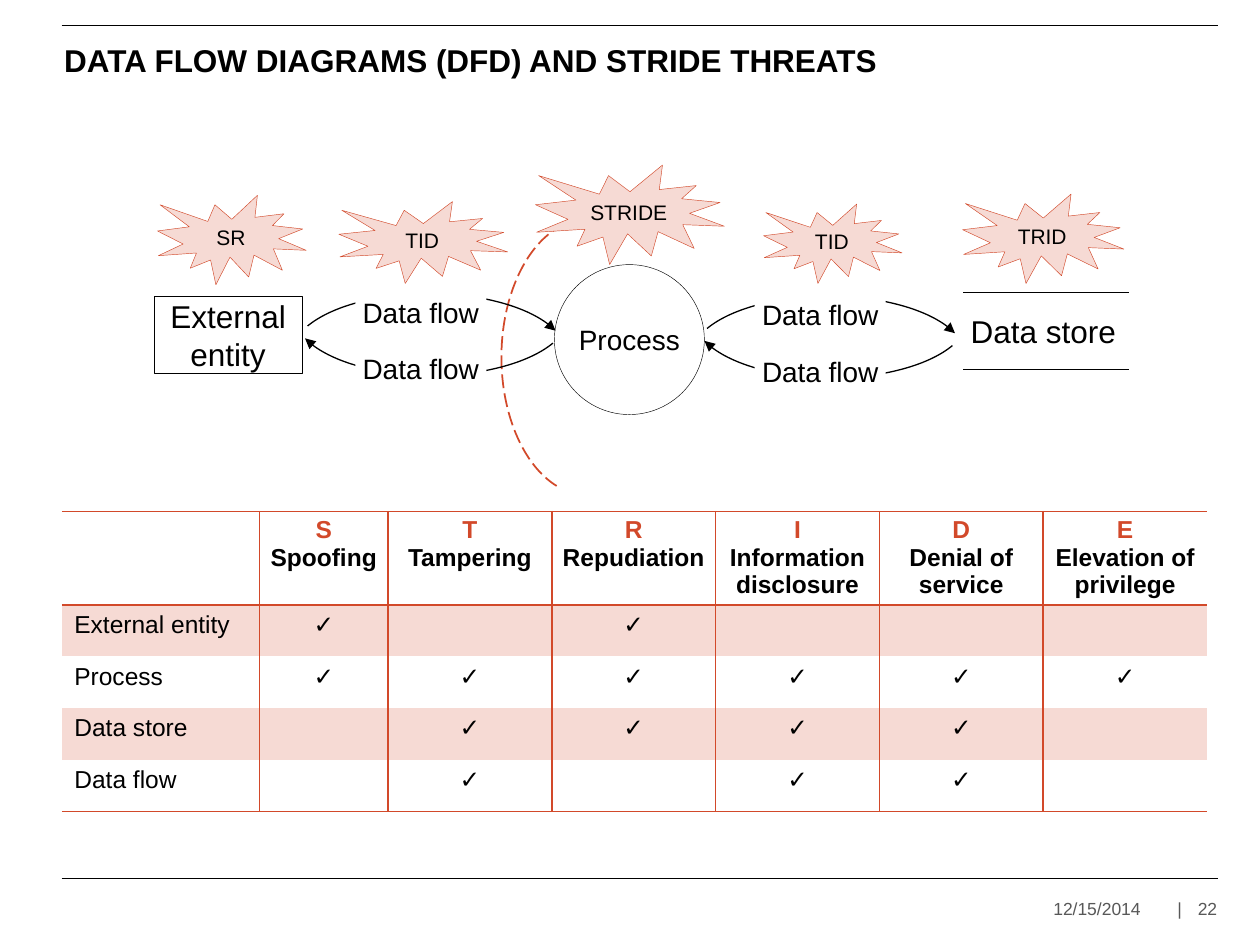
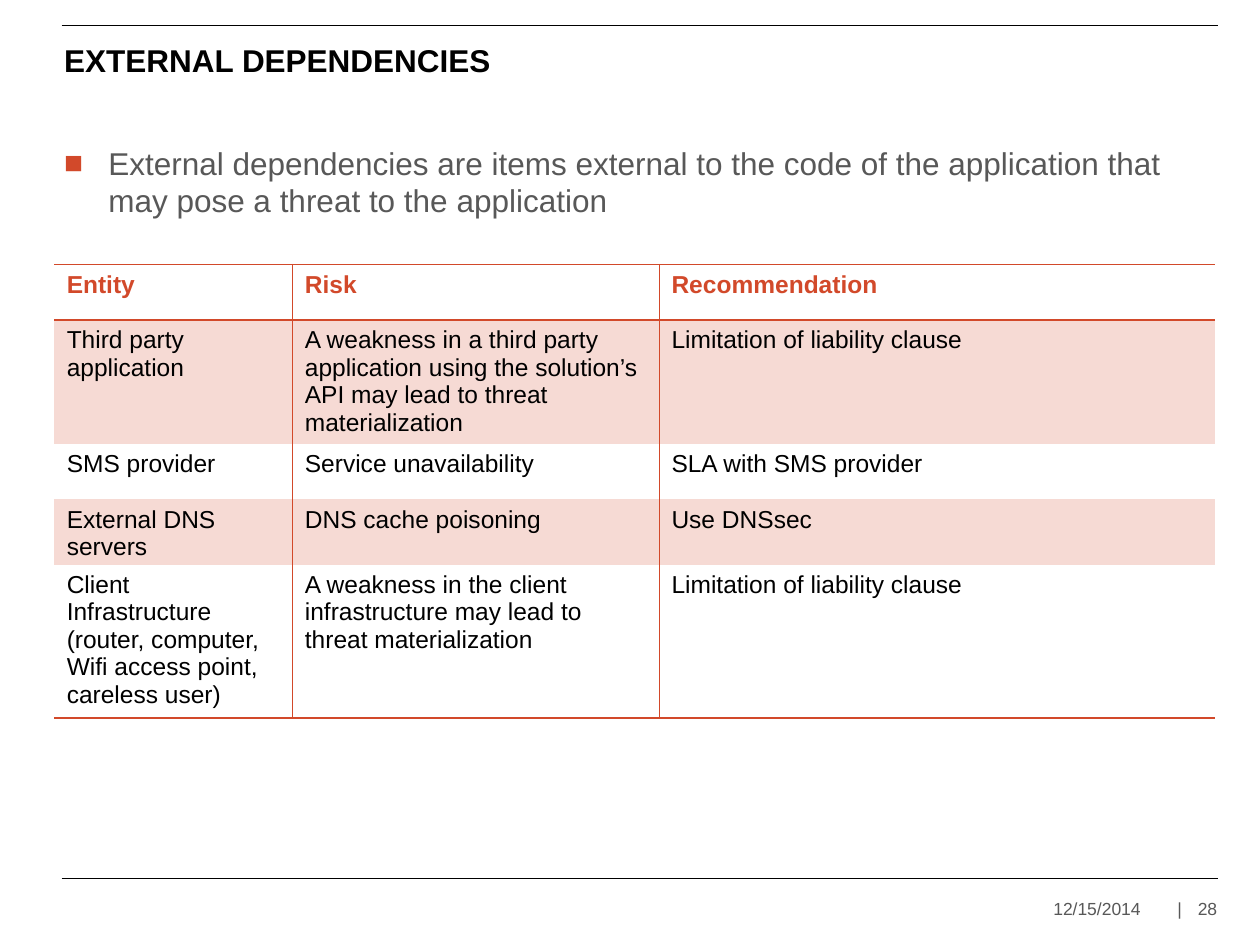
from dataclasses import dataclass
from typing import Optional

from lxml import etree
from pptx import Presentation
from pptx.dml.color import RGBColor
from pptx.enum.dml import MSO_LINE
from pptx.enum.shapes import MSO_CONNECTOR, MSO_SHAPE
from pptx.enum.text import MSO_ANCHOR, PP_ALIGN
from pptx.oxml.ns import qn
from pptx.util import Emu, Pt

PX = 9144  # EMU per px: 100 px to the inch
FONT = "Arial"
COLORS = {
    "black": "000000",
    "white": "FFFFFF",
    "accent": "D2492A",
    "tint": "F6DAD4",
    "gray": "585858",
}
LEFT, CENTER, RIGHT = PP_ALIGN.LEFT, PP_ALIGN.CENTER, PP_ALIGN.RIGHT
TOP, MIDDLE = MSO_ANCHOR.TOP, MSO_ANCHOR.MIDDLE
RECTANGLE, OVAL = MSO_SHAPE.RECTANGLE, MSO_SHAPE.OVAL
BURST, ARC = MSO_SHAPE.EXPLOSION1, MSO_SHAPE.ARC
STRAIGHT = MSO_CONNECTOR.STRAIGHT
LONG_DASH = MSO_LINE.LONG_DASH

ARC_ADJUSTMENTS = (116.15, 209.39)  # about 194 to 349 degrees, over the top
SHAPE_MARGINS = (10, 5, 10, 5)
LABEL_MARGINS = (0, 5, 0, 5)
BODY_MARGINS = (4, 4, 4, 4)
CELL_MARGINS = (10, 5, 10, 0)
TIGHT_CELL_MARGINS = (4, 4, 4, 0)
CHECK = "✓"


@dataclass(frozen=True)
class Box:
    left: int
    top: int
    width: int
    height: int

    def emu(self) -> tuple:
        return tuple(px(v) for v in (self.left, self.top, self.width, self.height))

    def moved(self, right: int, down: int) -> "Box":
        return Box(self.left + right, self.top + down, self.width, self.height)


@dataclass(frozen=True)
class Node:
    """A filled or outlined shape with centred text."""
    kind: int
    box: Box
    text: str
    size: int
    fill: Optional[str] = None
    line: Optional[str] = "black"
    margins: tuple = SHAPE_MARGINS


@dataclass(frozen=True)
class TableStyle:
    divider: float
    header_margins: tuple
    header_align: int
    body_align: int


STRIDE_STYLE = TableStyle(1, TIGHT_CELL_MARGINS, CENTER, CENTER)
ENTITY_STYLE = TableStyle(0.25, CELL_MARGINS, LEFT, LEFT)


def burst(box: Box, text: str) -> Node:
    return Node(BURST, box, text, 12, "tint", "accent")


BURSTS = [
    burst(Box(125, 155, 118, 71), "SR"),
    burst(Box(269, 160, 134, 65), "TID"),
    burst(Box(425, 131, 150, 79), "STRIDE"),
    burst(Box(606, 162, 110, 63), "TID"),
    burst(Box(764, 154, 128, 71), "TRID"),
]
ELEMENTS = [
    Node(RECTANGLE, Box(122, 235, 118, 61), "External\nentity", 18),
    Node(RECTANGLE, Box(759, 232, 138, 61), "Data store", 18),
    Node(OVAL, Box(440, 210, 119, 119), "Process", 16, margins=(0, 4, 0, 4)),
]
FLOW_OFFSETS = [(0, 0), (317, 2)]
FLOW_ARCS = [(Box(231, 233, 219, 98), 0), (Box(233, 200, 219, 98), 180)]
FLOW_LABELS = [Box(282, 272, 104, 41), Box(282, 227, 104, 41)]

THREATS = ["S\nSpoofing", "T\nTampering", "R\nRepudiation", "I\nInformation\ndisclosure",
           "D\nDenial of\nservice", "E\nElevation of\nprivilege"]
APPLICABLE_THREATS = {
    "External entity": "SR",
    "Process": "STRIDE",
    "Data store": "TRID",
    "Data flow": "TID",
}
DEPENDENCIES = [
    ["Entity", "Risk", "Recommendation"],
    ["Third party application",
     "A weakness in a third party application using the solution’s API may lead to "
     "threat materialization", "Limitation of liability clause"],
    ["SMS provider", "Service unavailability", "SLA with SMS provider"],
    ["External DNS servers", "DNS cache poisoning", "Use DNSsec"],
    ["Client Infrastructure (router, computer, Wifi access point, careless user)",
     "A weakness in the client infrastructure may lead to threat materialization",
     "Limitation of liability clause"],
]


def px(value: int) -> Emu:
    return Emu(value * PX)


def rgb(name: str) -> RGBColor:
    return RGBColor.from_string(COLORS[name])


def write_text(frame, text: str, *, size: float, color: str = "black",
               first_color: Optional[str] = None, bold: bool = False, align: int = LEFT,
               anchor: int = TOP, margins: tuple = SHAPE_MARGINS, wrap: bool = True) -> None:
    """Write one paragraph per line; first_color applies to the first line only."""
    frame.word_wrap = wrap
    frame.vertical_anchor = anchor
    (frame.margin_left, frame.margin_top,
     frame.margin_right, frame.margin_bottom) = map(px, margins)
    for index, line in enumerate(text.split("\n")):
        paragraph = frame.add_paragraph() if index else frame.paragraphs[0]
        paragraph.alignment = align
        run = paragraph.add_run()
        run.text = line
        run.font.name = FONT
        run.font.size = Pt(size)
        run.font.bold = bold
        run.font.color.rgb = rgb(first_color if first_color and not index else color)


def add_text(slide, box: Box, text: str, **text_format):
    frame = slide.shapes.add_textbox(*box.emu()).text_frame
    write_text(frame, text, **text_format)
    return frame.paragraphs[0]


def set_fill(fill, color: Optional[str]) -> None:
    if color:
        fill.solid()
        fill.fore_color.rgb = rgb(color)
    else:
        fill.background()


def add_line(slide, start: tuple, end: tuple, color: str, width: float) -> None:
    connector = slide.shapes.add_connector(STRAIGHT, *map(px, start + end))
    connector.line.color.rgb = rgb(color)
    connector.line.width = Pt(width)
    etree.SubElement(connector._element.spPr, qn("a:effectLst"))


def add_node(slide, node: Node) -> None:
    shape = slide.shapes.add_shape(node.kind, *node.box.emu())
    shape.shadow.inherit = False
    set_fill(shape.fill, node.fill)
    set_fill(shape.line.fill, node.line)
    if node.line:
        shape.line.width = Pt(0.25)
    write_text(shape.text_frame, node.text, size=node.size, align=CENTER,
               anchor=MIDDLE, margins=node.margins)


def add_arc(slide, box: Box, rotation: int, color: str, width: float):
    shape = slide.shapes.add_shape(ARC, *box.emu())
    shape.shadow.inherit = False
    shape.rotation = rotation
    for index, value in enumerate(ARC_ADJUSTMENTS):
        shape.adjustments[index] = value
    shape.fill.background()
    shape.line.color.rgb = rgb(color)
    shape.line.width = Pt(width)
    return shape


def add_flows(slide, right: int, down: int) -> None:
    """Draw a pair of opposite arrows, each with a label on top."""
    for box, rotation in FLOW_ARCS:
        arc = add_arc(slide, box.moved(right, down), rotation, "black", 0.75)
        etree.SubElement(arc.line._get_or_add_ln(), qn("a:tailEnd"), type="triangle")
    for box in FLOW_LABELS:
        add_node(slide, Node(RECTANGLE, box.moved(right, down), "Data flow", 16,
                             "white", None, LABEL_MARGINS))


def set_borders(cell, widths: dict) -> None:
    """Give each side its width in points; zero hides that side."""
    properties = cell._tc.get_or_add_tcPr()
    for side in "LRTB":
        width = widths[side]
        border = etree.SubElement(properties, qn(f"a:ln{side}"), w=str(Pt(width)))
        if width:
            fill = etree.SubElement(border, qn("a:solidFill"))
            etree.SubElement(fill, qn("a:srgbClr"), val=COLORS["accent"])
        else:
            etree.SubElement(border, qn("a:noFill"))


def add_table(slide, left: int, top: int, columns: list, heights: list,
              rows: list, style: TableStyle) -> None:
    box = Box(left, top, sum(columns), sum(heights))
    table = slide.shapes.add_table(len(rows), len(columns), *box.emu()).table
    table.first_row = table.horz_banding = False
    for column, width in zip(table.columns, columns):
        column.width = px(width)
    for row, height in zip(table.rows, heights):
        row.height = px(height)
    last_row, last_column = len(rows) - 1, len(columns) - 1
    for i, texts in enumerate(rows):
        header = i == 0
        for j, text in enumerate(texts):
            cell = table.cell(i, j)
            set_borders(cell, {
                "L": style.divider if j else 0,
                "R": style.divider if j < last_column else 0,
                "T": 1 if i <= 1 else 0,
                "B": 1 if i in (0, last_row) else 0,
            })
            set_fill(cell.fill, "tint" if i % 2 else None)
            if not text:
                continue
            align = style.header_align if header else style.body_align if j else LEFT
            write_text(cell.text_frame, text, size=14, bold=header, align=align,
                       first_color="accent" if header else None)
            (cell.margin_left, cell.margin_top, cell.margin_right, cell.margin_bottom) = map(
                px, style.header_margins if header else CELL_MARGINS)


def add_tab_stop(paragraph, position: int) -> None:
    tabs = etree.SubElement(paragraph._p.get_or_add_pPr(), qn("a:tabLst"))
    etree.SubElement(tabs, qn("a:tab"), pos=str(px(position)), algn="r")


def add_bullet(paragraph, indent: int) -> None:
    properties = paragraph._p.get_or_add_pPr()
    properties.set("marL", str(px(indent)))
    properties.set("indent", str(-px(indent)))
    color = etree.SubElement(properties, qn("a:buClr"))
    etree.SubElement(color, qn("a:srgbClr"), val=COLORS["accent"])
    etree.SubElement(properties, qn("a:buFont"), typeface=FONT)
    etree.SubElement(properties, qn("a:buChar"), char="■")


def add_base_slide(presentation, title: str, number: int):
    """Add a blank slide with the rules, title and footer that all slides share."""
    slide = presentation.slides.add_slide(presentation.slide_layouts[6])
    for y in (697, 20):
        add_line(slide, (49, y), (967, y), "black", 0.5)
    add_text(slide, Box(47, 30, 917, 35), title, size=18, bold=True, anchor=MIDDLE,
             margins=(4, 0, 4, 0))
    date = add_text(slide, Box(836, 709, 102, 24), "12/15/2014\t |", size=10, color="gray",
                    anchor=MIDDLE, margins=(0, 4, 0, 4), wrap=False)
    add_tab_stop(date, 102)
    add_text(slide, Box(938, 709, 28, 24), str(number), size=10, color="gray",
             align=RIGHT, anchor=MIDDLE, margins=(4, 4, 0, 4))
    return slide


def build_stride_slide(presentation) -> None:
    slide = add_base_slide(presentation, "DATA FLOW DIAGRAMS (DFD) AND STRIDE THREATS", 22)
    trust_boundary = add_arc(slide, Box(357, 215, 219, 137), 270, "accent", 1)
    trust_boundary.line.dash_style = LONG_DASH
    rows = [["", *THREATS]]
    for element, letters in APPLICABLE_THREATS.items():
        rows.append([element, *(CHECK if t[0] in letters else "" for t in THREATS)])
    add_table(slide, 49, 406, [157, 102] + [130] * 5, [71] + [41] * 4, rows, STRIDE_STYLE)
    for node in BURSTS + ELEMENTS:
        add_node(slide, node)
    for offset in FLOW_OFFSETS:
        add_flows(slide, *offset)
    for x, width in ((761, 4.5), (897, 1.5)):  # open the sides of the data store
        add_line(slide, (x, 210), (x, 315), "white", width)


def build_dependencies_slide(presentation) -> None:
    slide = add_base_slide(presentation, "EXTERNAL DEPENDENCIES", 28)
    definition = add_text(
        slide, Box(47, 110, 917, 575),
        "External dependencies are items external to the code of the application that "
        "may pose a threat to the application",
        size=18, color="gray", margins=BODY_MARGINS)
    add_bullet(definition, 35)
    add_table(slide, 43, 210, [189, 291, 441], [44] * 4 + [42], DEPENDENCIES, ENTITY_STYLE)


def main() -> None:
    presentation = Presentation()
    presentation.slide_width, presentation.slide_height = px(1000), px(750)
    build_stride_slide(presentation)
    build_dependencies_slide(presentation)
    presentation.save("out.pptx")


if __name__ == "__main__":
    main()
